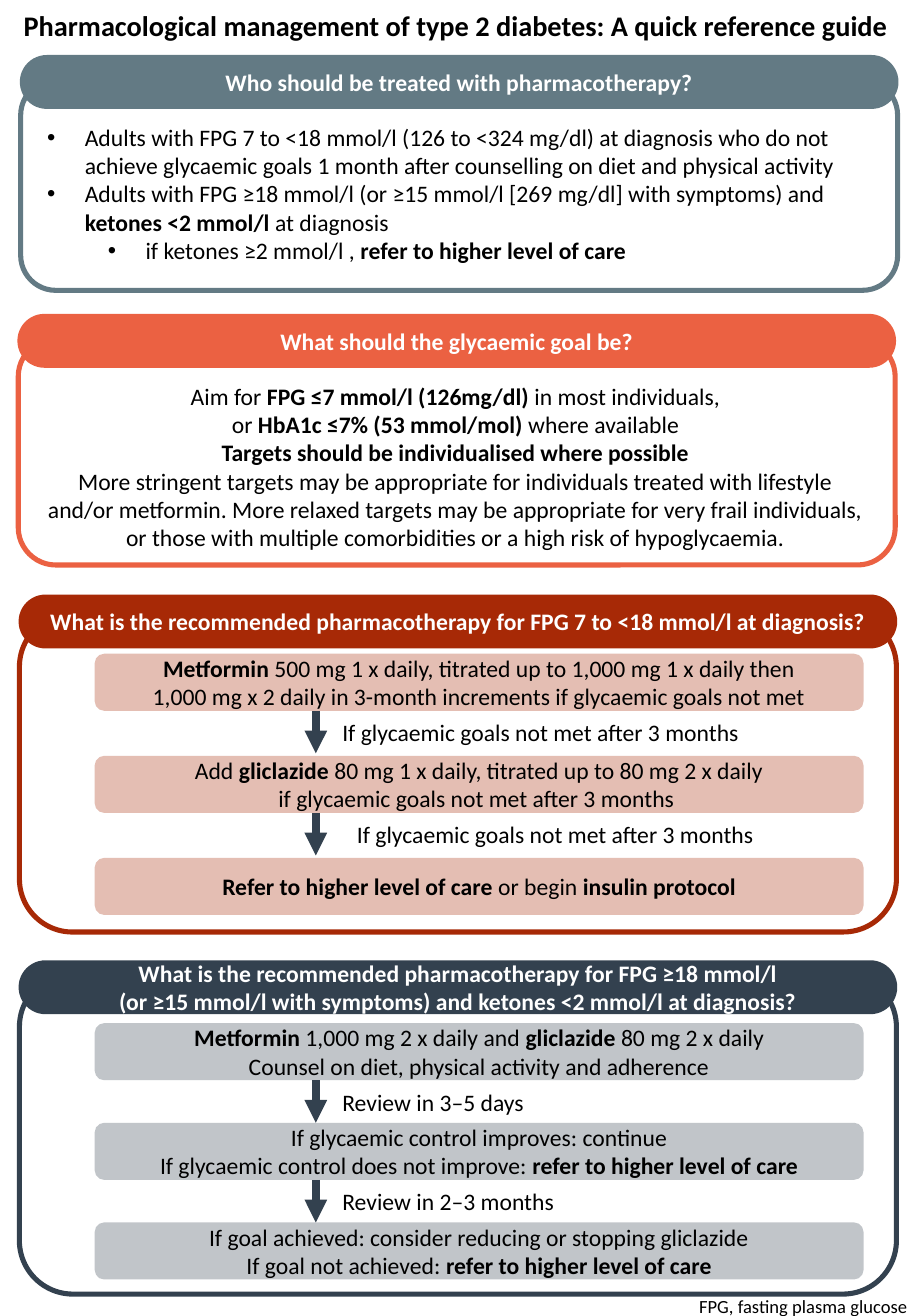
from pptx import Presentation
from pptx.dml.color import RGBColor
from pptx.enum.shapes import MSO_CONNECTOR, MSO_SHAPE
from pptx.enum.text import MSO_ANCHOR, PP_ALIGN
from pptx.oxml.ns import qn
from pptx.util import Inches, Pt
from lxml import etree

ROUNDED, STRAIGHT = MSO_SHAPE.ROUNDED_RECTANGLE, MSO_CONNECTOR.STRAIGHT
LEFT, CENTER, RIGHT = PP_ALIGN.LEFT, PP_ALIGN.CENTER, PP_ALIGN.RIGHT
TOP, MIDDLE = MSO_ANCHOR.TOP, MSO_ANCHOR.MIDDLE

BLACK = RGBColor(0x00, 0x00, 0x00)
WHITE = RGBColor(0xFF, 0xFF, 0xFF)
SLATE = RGBColor(0x63, 0x7A, 0x84)
ORANGE = RGBColor(0xEB, 0x61, 0x42)
RED = RGBColor(0xA7, 0x29, 0x06)
NAVY = RGBColor(0x33, 0x41, 0x4F)

# Content: **...** marks bold words
TITLE = "**Pharmacological management of type 2 diabetes: A quick reference guide**"
FOOTNOTE = "FPG, fasting plasma glucose"
CRITERIA = [  # level, text
    (0, "Adults with FPG 7 to <18 mmol/l (126 to <324 mg/dl) at diagnosis who do not "
        "achieve glycaemic goals 1 month after counselling on diet and physical activity"),
    (0, "Adults with FPG ≥18 mmol/l (or ≥15 mmol/l [269 mg/dl] with symptoms) and "
        "**ketones <2 mmol/l **at diagnosis"),
    (1, "if ketones ≥2 mmol/l , **refer to higher level of care**"),
]
GOALS = [
    "Aim for **FPG ≤7 mmol/l (126mg/dl)** in most individuals,",
    "or **HbA1c ≤7% (53 mmol/mol) **where available",
    "**Targets should be individualised where possible**",
    "More stringent targets may be appropriate for individuals treated with lifestyle",
    "and/or metformin. More relaxed targets may be appropriate for very frail individuals,",
    "or those with multiple comorbidities or a high risk of hypoglycaemia.",
]
PANELS = [  # colour, left, header top, frame top, frame height, heading
    (SLATE, 0.17, 0.46, 0.66, 1.73, ["**Who should be treated with pharmacotherapy?**"]),
    (ORANGE, 0.15, 2.59, 2.79, 1.86, ["**What should the glycaemic goal be?**"]),
    (RED, 0.16, 4.90, 5.05, 2.62,
     ["**What is the recommended pharmacotherapy for FPG 7 to <18 mmol/l at diagnosis?**"]),
    (NAVY, 0.16, 7.91, 8.01, 2.64,
     ["**What is the recommended pharmacotherapy for FPG ≥18 mmol/l**",
      "**(or ≥15 mmol/l with symptoms) and ketones <2 mmol/l at diagnosis?**"]),
]
FLOWS = [  # colour, first step top, pitch, steps, (label left, label) between steps
    (RED, 5.38, 0.84, [
        ["**Metformin **500 mg 1 x daily, titrated up to 1,000 mg 1 x daily then",
         "1,000 mg x 2 daily in 3-month increments if glycaemic goals not met"],
        ["Add **gliclazide** 80 mg 1 x daily, titrated up to 80 mg 2 x daily",
         "if glycaemic goals not met after 3 months "],
        ["**Refer to higher level of care **or begin **insulin protocol**"],
    ], [(2.72, "If glycaemic goals not met after 3 months"),
        (2.84, "If glycaemic goals not met after 3 months")]),
    (NAVY, 8.42, 0.82, [
        ["**Metformin **1,000 mg 2 x daily and **gliclazide **80 mg 2 x daily",
         "Counsel on diet, physical activity and adherence"],
        ["If glycaemic control improves: continue",
         "If glycaemic control does not improve: **refer to higher level of care**"],
        ["If goal achieved: consider reducing or stopping gliclazide",
         "If goal not achieved: **refer to higher level of care**"],
    ], [(2.72, "Review in 3–5 days"), (2.72, "Review in 2–3 months")]),
]

# Shared measures, in inches
PANEL_WIDTH, HEADER_HEIGHT = 7.22, 0.43
STEP_LEFT, STEP_WIDTH, STEP_HEIGHT = 0.78, 6.33, 0.47
ARROW_X, ARROW_LENGTH = 2.6, 0.35
LABEL_WIDTH, LABEL_HEIGHT = 3.54, 0.34
BULLET_INDENT, LEVEL_INDENT, HANGING = 0.43, 0.5, 0.31

deck = Presentation()
deck.slide_width, deck.slide_height = Inches(7.5), Inches(10.83)
page = deck.slides.add_slide(deck.slide_layouts[5])


def write(box, lines, align=LEFT, size=14, color=BLACK, anchor=TOP, wrap=True):
    frame = box.text_frame
    frame.word_wrap, frame.vertical_anchor = wrap, anchor
    for number, line in enumerate(lines):
        para = frame.add_paragraph() if number else frame.paragraphs[0]
        para.alignment = align
        para.font.name, para.font.size = "Calibri", Pt(size)
        para.font.color.rgb = color
        for index, piece in enumerate(line.split("**")):
            if piece:
                span = para.add_run()
                span.text = piece
                span.font.bold = index % 2 == 1
    return frame


def add_text(left, top, width, height, lines, **style):
    box = page.shapes.add_textbox(*map(Inches, (left, top, width, height)))
    return write(box, lines, **style)


def add_rounded(left, top, width, height, fill=None, line=None, weight=1):
    shape = page.shapes.add_shape(ROUNDED, *map(Inches, (left, top, width, height)))
    shape.shadow.inherit = False
    if fill is None:
        shape.fill.background()
    else:
        shape.fill.solid()
        shape.fill.fore_color.rgb = fill
    if line is None:
        shape.line.fill.background()
    else:
        shape.line.color.rgb = line
        shape.line.width = Pt(weight)
    return shape


def add_arrow(x, top):
    ends = map(Inches, (x, top, x, top + ARROW_LENGTH))
    arrow = page.shapes.add_connector(STRAIGHT, *ends)
    arrow.line.color.rgb = NAVY
    arrow.line.width = Pt(4.5)
    properties = arrow._element.spPr
    etree.SubElement(properties.find(qn("a:ln")), qn("a:tailEnd"), type="triangle")
    etree.SubElement(properties, qn("a:effectLst"))


# Title
title = page.shapes.title
title.left, title.top = Inches(0), Inches(-0.01)
title.width, title.height = deck.slide_width, Inches(0.5)
heading = write(title, [TITLE], align=CENTER, size=16.8, anchor=MIDDLE)
heading.paragraphs[0].line_spacing = 0.7

# Framed panels with pill headers
for color, left, header_top, frame_top, frame_height, lines in PANELS:
    add_rounded(left, frame_top, PANEL_WIDTH, frame_height, line=color, weight=3)
    header = add_rounded(left, header_top, PANEL_WIDTH, HEADER_HEIGHT, color, color)
    header.adjustments[0] = 0.5
    write(header, lines, align=CENTER, color=WHITE, anchor=MIDDLE)

# Bulleted criteria
criteria = add_text(0.17, 0.96, PANEL_WIDTH, 1.28, [text for level, text in CRITERIA])
for para, (level, text) in zip(criteria.paragraphs, CRITERIA):
    para.level = level
    settings = para._p.get_or_add_pPr()
    settings.set("marL", str(Inches(BULLET_INDENT + level * LEVEL_INDENT)))
    settings.set("indent", str(-Inches(HANGING)))
    bullet = etree.Element(qn("a:buChar"), char="•")
    font = etree.Element(qn("a:buFont"), typeface="Arial")
    settings.insert(0, bullet)
    settings.insert(0, font)

# Glycaemic goals
add_text(0.13, 3.09, 7.24, 1.51, GOALS, align=CENTER)

# Treatment steps, joined by labelled arrows
for color, first_top, pitch, steps, labels in FLOWS:
    for number, lines in enumerate(steps):
        top = first_top + number * pitch
        step = add_rounded(STEP_LEFT, top, STEP_WIDTH, STEP_HEIGHT, fill=color)
        tint = step._element.spPr.find(qn("a:solidFill")).find(qn("a:srgbClr"))
        etree.SubElement(tint, qn("a:alpha"), val="30000")
        write(step, lines, align=CENTER, anchor=MIDDLE)
    for number, (label_left, label) in enumerate(labels):
        top = first_top + number * pitch + STEP_HEIGHT
        add_arrow(ARROW_X, top)
        add_text(label_left, top + 0.01, LABEL_WIDTH, LABEL_HEIGHT, [label])

# Footnote
add_text(5.64, 10.61, 1.93, 0.29, [FOOTNOTE], align=RIGHT, size=11, wrap=False)

deck.save("out.pptx")
